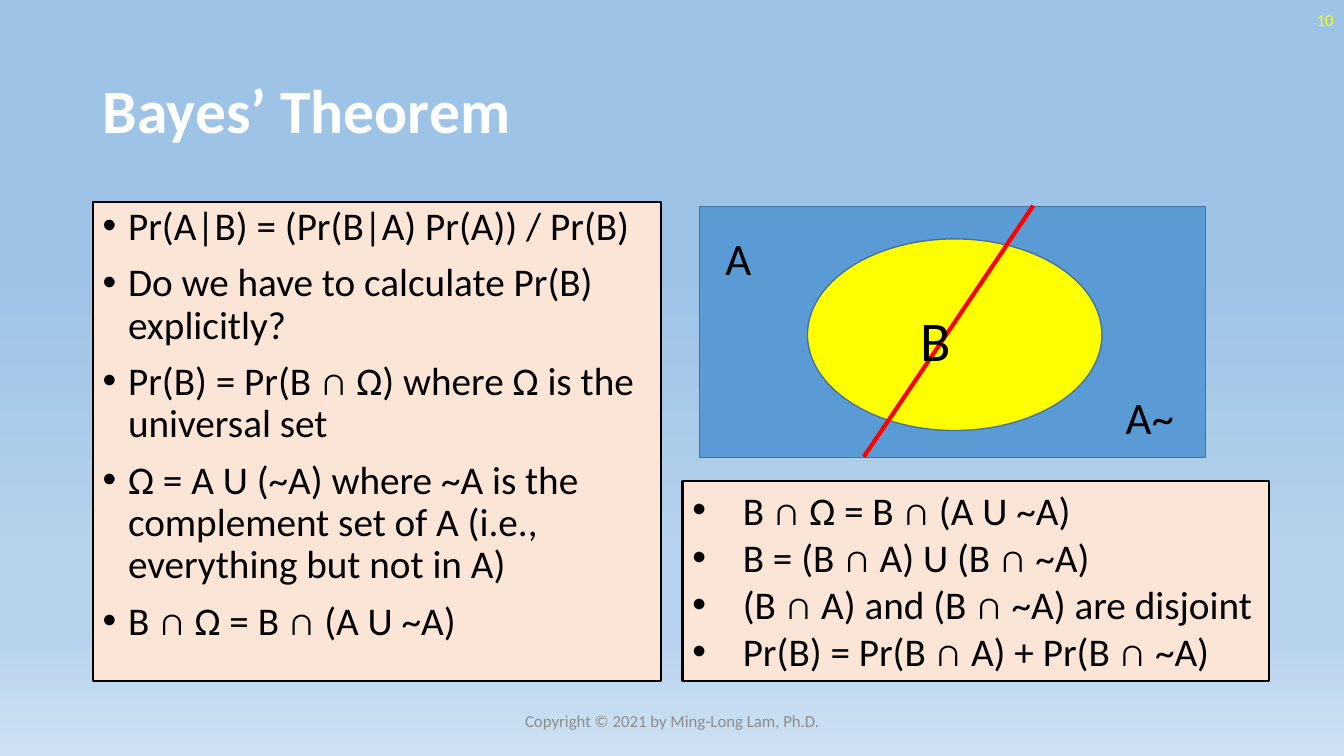
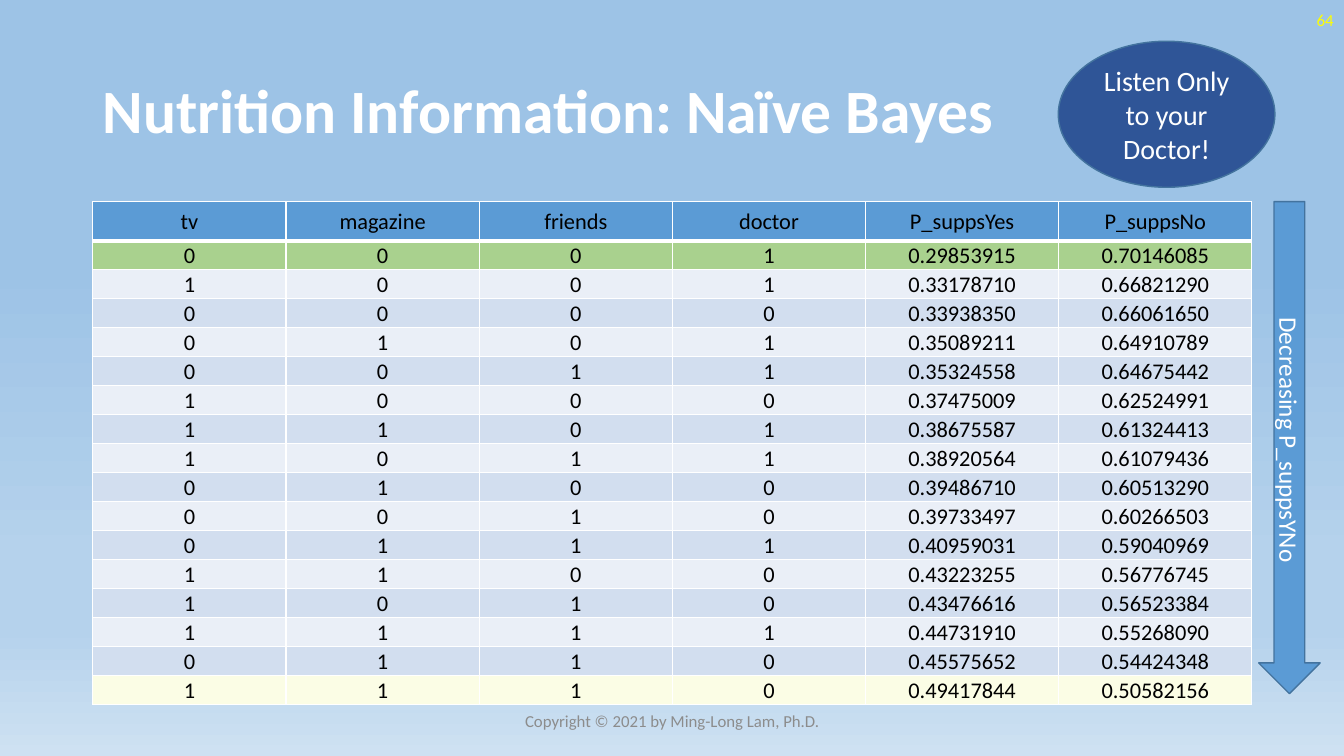
from lxml import etree
from pptx import Presentation
from pptx.dml.color import RGBColor
from pptx.enum.shapes import MSO_CONNECTOR, MSO_SHAPE
from pptx.enum.text import MSO_ANCHOR, PP_ALIGN
from pptx.oxml.ns import qn
from pptx.util import Cm, Pt

RECT, OVAL, ARROW = MSO_SHAPE.RECTANGLE, MSO_SHAPE.OVAL, MSO_SHAPE.DOWN_ARROW
LEFT, CENTER, RIGHT = PP_ALIGN.LEFT, PP_ALIGN.CENTER, PP_ALIGN.RIGHT
TOP, MIDDLE = MSO_ANCHOR.TOP, MSO_ANCHOR.MIDDLE


class Theme:
    font = "Calibri"
    # colours
    white, black, yellow, red, grey = "FFFFFF", "000000", "FFFF00", "FF0000", "8C8C8C"
    blue, outline, navy, peach = "5B9BD5", "43739E", "2F5597", "FBE5D6"
    green, cream = "A9D18E", "FBFDE5"
    bands = ("EAEFF7", "D2DEEF")
    backdrop = ((35, "9DC3E6"), (74, "B5D2EC"), (83, "B5D2EC"), (100, "CEE1F2"))
    # type sizes
    title, event, label, body, callout, arrow, cell, small = 44, 40, 32, 28, 20, 18, 16, 12


def add_box(s, kind, at, fill=None, line=None, width=1):
    """Add a preset shape, or a text box when kind is None."""
    at = [Cm(v) for v in at]
    if kind is None:
        return s.shapes.add_textbox(*at)
    sp = s.shapes.add_shape(kind, *at)
    sp.shadow.inherit = False
    sp.fill.solid()
    sp.fill.fore_color.rgb = RGBColor.from_string(fill)
    sp.line.color.rgb = RGBColor.from_string(line)
    sp.line.width = Pt(width)
    return sp


def write(tf, lines, size, color=Theme.black, bold=False, align=LEFT, anchor=TOP,
          bullet=0, spacing=1.0, before=0):
    """Fill a text frame; bullet is the hanging indent in cm."""
    tf.word_wrap, tf.vertical_anchor = True, anchor
    for i, line in enumerate(lines):
        p = tf.paragraphs[0] if i == 0 else tf.add_paragraph()
        if bullet:
            pPr = p._p.get_or_add_pPr()
            pPr.set("marL", str(Cm(bullet)))
            pPr.set("indent", str(-Cm(bullet)))
            etree.SubElement(pPr, qn("a:buFont"), typeface="Arial")
            etree.SubElement(pPr, qn("a:buChar"), char="•")
        layout = {"alignment": align, "line_spacing": spacing,
                  "space_before": Pt(before if i else 0)}
        for name, value in layout.items():
            setattr(p, name, value)
        r = p.add_run()
        r.text = line
        for name, value in {"name": Theme.font, "size": Pt(size), "bold": bold}.items():
            setattr(r.font, name, value)
        r.font.color.rgb = RGBColor.from_string(color)


prs = Presentation()
prs.slide_width, prs.slide_height = Cm(33.87), Cm(19.05)

# Gradient background, set on the master
bg = prs.slide_master.background.fill
bg.gradient()
bg.gradient_angle = 270
stops = prs.slide_master.element.find(".//" + qn("a:gsLst"))
for gs in list(stops):
    stops.remove(gs)
for pos, color in Theme.backdrop:
    gs = etree.SubElement(stops, qn("a:gs"), pos=str(pos * 1000))
    etree.SubElement(gs, qn("a:srgbClr"), val=color)

# Title, slide number and copyright line of every slide
slides = []
for title, number in (("Bayes’ Theorem", "10"),
                      ("Nutrition Information: Naïve Bayes", "64")):
    s = prs.slides.add_slide(prs.slide_layouts[6])
    write(add_box(s, None, (2.34, 1.02, 29.21, 3.68)).text_frame, [title],
          Theme.title, Theme.white, bold=True, anchor=MIDDLE, spacing=0.9)
    write(add_box(s, None, (26.24, 0, 7.62, 1.02)).text_frame, [number],
          Theme.small, Theme.yellow, align=RIGHT, anchor=MIDDLE)
    write(add_box(s, None, (11.23, 17.65, 11.43, 1.02)).text_frame,
          ["Copyright © 2021 by Ming-Long Lam, Ph.D."],
          Theme.small, Theme.grey, align=CENTER, anchor=MIDDLE)
    slides.append(s)
bayes, nutrition = slides

# Bayes: argument on the left, conclusion at the lower right
argument = [
    "Pr(A|B) = (Pr(B|A) Pr(A)) / Pr(B)",
    "Do we have to calculate Pr(B) explicitly?",
    "Pr(B) = Pr(B ∩ Ω) where Ω is the universal set",
    "Ω = A U (~A) where ~A is the complement set of A (i.e., everything but not in A)",
    "B ∩ Ω = B ∩ (A U ~A)",
]
conclusion = [
    "B ∩ Ω = B ∩ (A U ~A)",
    "B = (B ∩ A) U (B ∩ ~A)",
    "(B ∩ A) and (B ∩ ~A) are disjoint",
    "Pr(B) = Pr(B ∩ A) + Pr(B ∩ ~A)",
]
for at, lines, fmt in (
    ((2.34, 5.08, 14.33, 12.09), argument, {"bullet": 0.64, "spacing": 0.9, "before": 10}),
    ((17.2, 12.12, 14.78, 5.05), conclusion, {"bullet": 1.27}),
):
    sp = add_box(bayes, RECT, at, Theme.peach, Theme.black, 1.5)
    write(sp.text_frame, lines, Theme.body, **fmt)

# Bayes: Venn diagram, divided into A and its complement
add_box(bayes, RECT, (17.63, 5.21, 12.75, 6.32), Theme.blue, Theme.outline)
add_box(bayes, OVAL, (20.35, 6.02, 7.42, 4.83), Theme.yellow, Theme.outline)
divider = bayes.shapes.add_connector(MSO_CONNECTOR.STRAIGHT,
                                     Cm(26.04), Cm(5.18), Cm(21.77), Cm(11.51))
divider.line.color.rgb = RGBColor.from_string(Theme.red)
divider.line.width = Pt(3)
etree.SubElement(divider._element.spPr, qn("a:effectLst"))
for text, at, size in (("A", (18.03, 5.69, 1.14, 1.63), Theme.label),
                       ("A~", (28.12, 9.7, 1.9, 1.63), Theme.label),
                       ("B", (22.94, 7.57, 2.31, 1.96), Theme.event)):
    write(add_box(bayes, None, at).text_frame, [text], size)

# Nutrition: probability table
header = ["tv", "magazine", "friends", "doctor", "P_suppsYes", "P_suppsNo"]
records = """
0 0 0 1 0.29853915 0.70146085
1 0 0 1 0.33178710 0.66821290
0 0 0 0 0.33938350 0.66061650
0 1 0 1 0.35089211 0.64910789
0 0 1 1 0.35324558 0.64675442
1 0 0 0 0.37475009 0.62524991
1 1 0 1 0.38675587 0.61324413
1 0 1 1 0.38920564 0.61079436
0 1 0 0 0.39486710 0.60513290
0 0 1 0 0.39733497 0.60266503
0 1 1 1 0.40959031 0.59040969
1 1 0 0 0.43223255 0.56776745
1 0 1 0 0.43476616 0.56523384
1 1 1 1 0.44731910 0.55268090
0 1 1 0 0.45575652 0.54424348
1 1 1 0 0.49417844 0.50582156
"""
rows = [header] + [record.split() for record in records.strip().splitlines()]
last = len(rows) - 1
fills = {0: Theme.blue, 1: Theme.green, last: Theme.cream}
table = nutrition.shapes.add_table(len(rows), len(header), Cm(2.34), Cm(5.08),
                                   Cm(29.21), Cm(12.67)).table
table.horz_banding = False
for column in table.columns:
    column.width = Cm(29.21 / len(header))
for i, values in enumerate(rows):
    table.rows[i].height = Cm(0.73 if i else 0.99)
    for j, value in enumerate(values):
        cell = table.cell(i, j)
        insets = {"margin_left": 0.03, "margin_right": 0.03,
                  "margin_top": 0.03, "margin_bottom": 0}
        for name, inset in insets.items():
            setattr(cell, name, Cm(inset))
        write(cell.text_frame, [value], Theme.cell, align=CENTER)
        cell.vertical_anchor = MIDDLE
        # White borders, heavier below the header
        tcPr = cell._tc.get_or_add_tcPr()
        for side in ("lnL", "lnR", "lnT", "lnB"):
            heavy = (i, side) in ((0, "lnB"), (1, "lnT"))
            ln = etree.SubElement(tcPr, qn("a:" + side), w=str(Pt(3 if heavy else 1)))
            solid = etree.SubElement(ln, qn("a:solidFill"))
            etree.SubElement(solid, qn("a:srgbClr"), val=Theme.white)
        cell.fill.solid()
        cell.fill.fore_color.rgb = RGBColor.from_string(fills.get(i, Theme.bands[i % 2]))

# Nutrition: order arrow and callout
sp = add_box(nutrition, ARROW, (31.72, 5.08, 1.55, 12.4), Theme.blue, Theme.outline)
write(sp.text_frame, ["Decreasing P_suppsYNo"], Theme.arrow, Theme.white,
      align=CENTER, anchor=MIDDLE)
sp.text_frame._txBody.bodyPr.set("vert", "vert")
sp = add_box(nutrition, OVAL, (26.67, 1.04, 5.46, 3.68), Theme.navy, Theme.outline)
write(sp.text_frame, ["Listen Only to your Doctor!"], Theme.callout, Theme.white,
      align=CENTER, anchor=MIDDLE)

prs.save("out.pptx")
